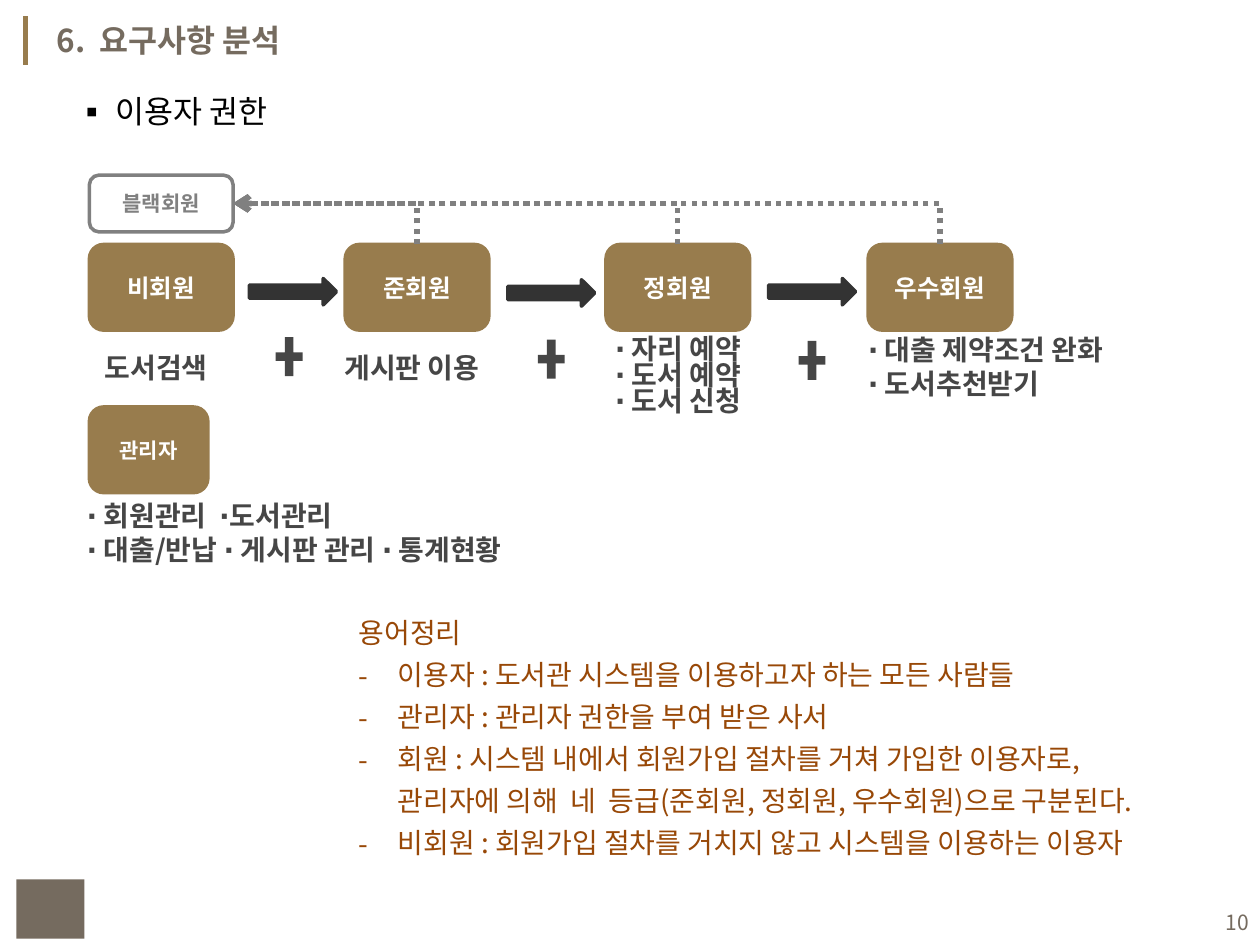
from lxml import etree
from pptx import Presentation
from pptx.dml.color import RGBColor
from pptx.enum import dml, shapes, text
from pptx.oxml import ns
from pptx.util import Inches, Pt

SANS, ROBOTO = "Noto Sans CJK KR", "Roboto"
BROWN, TAUPE, GREY, DARK, INK, RUST = "987C4D", "756B5F", "808080", "464646", "333333", "984807"
LEFT, CENTER, RIGHT = text.PP_ALIGN.LEFT, text.PP_ALIGN.CENTER, text.PP_ALIGN.RIGHT
TOP, MIDDLE = text.MSO_ANCHOR.TOP, text.MSO_ANCHOR.MIDDLE
SHAPE = shapes.MSO_SHAPE


def color(value):
    """Return the colour of a hex string."""
    return RGBColor.from_string(value)


def style_run(run, size, hue, bold=False, font=SANS):
    """Format one run for Latin and East Asian letters."""
    run.font.size, run.font.bold, run.font.name = Pt(size), bold, font
    run.font.color.rgb = color(hue)
    east = etree.SubElement(run.font._element, ns.qn("a:ea"))
    east.set("typeface", font)


def write(frame, lines, size, hue, bold=False, align=LEFT, anchor=TOP, font=SANS, spacing=None):
    """Fill a text frame with one paragraph for each line."""
    frame.text = "\n".join(lines)
    frame.word_wrap, frame.vertical_anchor = True, anchor
    for paragraph in frame.paragraphs:
        paragraph.alignment = align
        if spacing:
            paragraph.line_spacing = Pt(spacing)
        for run in paragraph.runs:
            style_run(run, size, hue, bold, font)


def add_label(slide, box, lines, size, hue, **style):
    """Add a text box and return its frame."""
    frame = slide.shapes.add_textbox(*map(Inches, box)).text_frame
    write(frame, lines, size, hue, **style)
    return frame


def add_bullet(paragraph, mark):
    """Give a paragraph a hanging bullet."""
    props = paragraph._p.get_or_add_pPr()
    props.set("marL", str(Inches(0.31)))
    props.set("indent", str(Inches(-0.31)))
    etree.SubElement(props, ns.qn("a:buFont")).set("typeface", SANS)
    etree.SubElement(props, ns.qn("a:buChar")).set("char", mark)


def add_figure(slide, kind, box, fill=None, line=None):
    """Add a preset shape without a shadow."""
    figure = slide.shapes.add_shape(kind, *map(Inches, box))
    figure.shadow.inherit = False
    if fill:
        figure.fill.solid()
        figure.fill.fore_color.rgb = color(fill)
    else:
        figure.fill.background()
    if line:
        figure.line.color.rgb = color(line)
        figure.line.width = Pt(2)
    else:
        figure.line.fill.background()
    return figure


def add_role(slide, box, name, size=14, font=ROBOTO, fill=BROWN, line=BROWN, hue="FFFFFF"):
    """Add the rounded box of a user role."""
    role = add_figure(slide, SHAPE.ROUNDED_RECTANGLE, box, fill, line)
    write(role.text_frame, [name], size, hue, True, CENTER, MIDDLE, font)
    return role


def style_connector(connector, hue):
    """Set colour and weight of a connector and drop its shadow."""
    connector.line.color.rgb = color(hue)
    connector.line.width = Pt(3)
    etree.SubElement(connector._element.spPr, ns.qn("a:effectLst"))


def add_demotion(slide, member, blacklist):
    """Join the top of a member box to the blacklist with a dotted elbow."""
    elbow = slide.shapes.add_connector(shapes.MSO_CONNECTOR.ELBOW, 0, 0, 0, 0)
    elbow.begin_connect(member, 0)
    elbow.end_connect(blacklist, 3)
    start_x, start_y, end_x, end_y = elbow.begin_x, elbow.begin_y, elbow.end_x, elbow.end_y
    run, rise = start_x - end_x, start_y - end_y
    elbow.left, elbow.top = (start_x + end_x - rise) // 2, (start_y + end_y - run) // 2
    elbow.width, elbow.height = rise, run
    frame = elbow._element.spPr.find(ns.qn("a:xfrm"))
    for key, value in (("rot", "16200000"), ("flipH", "0"), ("flipV", "1")):
        frame.set(key, value)
    elbow._element.spPr.find(ns.qn("a:prstGeom")).set("prst", "bentConnector2")
    elbow.line.dash_style = dml.MSO_LINE.ROUND_DOT
    style_connector(elbow, GREY)
    outline = elbow._element.spPr.find(ns.qn("a:ln"))
    etree.SubElement(outline, ns.qn("a:tailEnd")).set("type", "arrow")


def add_header(slide, left, top):
    """Add the accent rule, the title and the topic."""
    rule = slide.shapes.add_connector(
        shapes.MSO_CONNECTOR.STRAIGHT, *map(Inches, (left, top, left, top + 0.39)))
    style_connector(rule, BROWN)
    add_label(slide, (left + 0.15, top - 0.01, 2.44, 0.4), ["6.  요구사항 분석"], 18, TAUPE, bold=True)
    topic = add_label(slide, (left + 0.31, top + 0.55, 1.9, 0.4), ["이용자 권한"], 18, "000000")
    add_bullet(topic.paragraphs[0], "▪")


def add_members(slide, left, top):
    """Add the member grades, the steps between them and the blacklist."""
    grades = [(0, "비회원"), (2.03, "준회원"), (4.1, "정회원"), (6.18, "우수회원")]
    members = [add_role(slide, (left + x, top, 1.14, 0.68), name) for x, name in grades]
    for x, y in ((1.27, 0.27), (3.32, 0.28), (5.39, 0.27)):
        add_figure(slide, SHAPE.RIGHT_ARROW, (left + x, top + y, 0.69, 0.21), INK, INK)
    for x, y in ((1.44, 0.68), (3.52, 0.7), (5.59, 0.71)):
        add_figure(slide, SHAPE.MATH_PLUS, (left + x, top + y, 0.29, 0.42), DARK)
    rights = [
        ((-0.12, 0.79, 1.3, 0.37), ["도서검색"], CENTER, None),
        ((1.86, 0.79, 1.4, 0.37), ["게시판 이용"], CENTER, None),
        ((3.83, 0.7, 1.68, 0.73), ["∙ 자리 예약", "∙ 도서 예약", "∙ 도서 신청"], CENTER, 15),
        ((6.08, 0.71, 2.31, 0.58), ["∙ 대출 제약조건 완화", "∙ 도서추천받기"], LEFT, 15),
    ]
    for (x, y, width, height), lines, align, spacing in rights:
        frame = add_label(slide, (left + x, top + y, width, height), lines, 16, DARK,
                          bold=True, align=align, spacing=spacing)
    frame.paragraphs[-1].line_spacing = None
    blacklist = add_role(slide, (left, top - 0.55, 1.14, 0.45), "블랙회원", 12, SANS, None, GREY, GREY)
    for member in members[1:]:
        add_demotion(slide, member, blacklist)


def add_manager(slide, left, top):
    """Add the manager role and its duties."""
    add_role(slide, (left, top, 0.94, 0.68), "관리자", 12, SANS)
    duties = ["∙ 회원관리  ∙도서관리", "∙ 대출/반납 ∙ 게시판 관리 ∙ 통계현황"]
    add_label(slide, (left - 0.12, top + 0.68, 6, 0.64), duties, 16, DARK, bold=True)


def add_glossary(slide, box):
    """Add the list of terms under its heading."""
    terms = [
        "용어정리",
        "이용자 : 도서관 시스템을 이용하고자 하는 모든 사람들",
        "관리자 : 관리자 권한을 부여 받은 사서",
        "회원 : 시스템 내에서 회원가입 절차를 거쳐 가입한 이용자로, "
        "관리자에 의해  네  등급(준회원, 정회원, 우수회원)으로 구분된다.",
        "비회원 : 회원가입 절차를 거치지 않고 시스템을 이용하는 이용자",
    ]
    frame = add_label(slide, box, terms, 16, RUST, spacing=24)
    for paragraph in frame.paragraphs[1:]:
        add_bullet(paragraph, "-")


def add_footer(slide, left, top):
    """Add the plain footer block and the page number."""
    add_figure(slide, SHAPE.RECTANGLE, (left, top, 0.54, 0.47), fill=TAUPE)
    add_label(slide, (left + 7.55, top + 0.14, 2.33, 0.4), ["10"], 12, TAUPE, align=RIGHT, anchor=MIDDLE)


def main():
    """Build the slide on user rights."""
    deck = Presentation()
    deck.slide_width, deck.slide_height = Inches(10), Inches(7.5)
    slide = deck.slides.add_slide(deck.slide_layouts[6])
    add_header(slide, 0.2, 0.13)
    add_members(slide, 0.71, 1.94)
    add_manager(slide, 0.71, 3.23)
    add_glossary(slide, (2.75, 4.77, 6.59, 2.46))
    add_footer(slide, 0.13, 6.98)
    deck.save("out.pptx")


if __name__ == "__main__":
    main()
